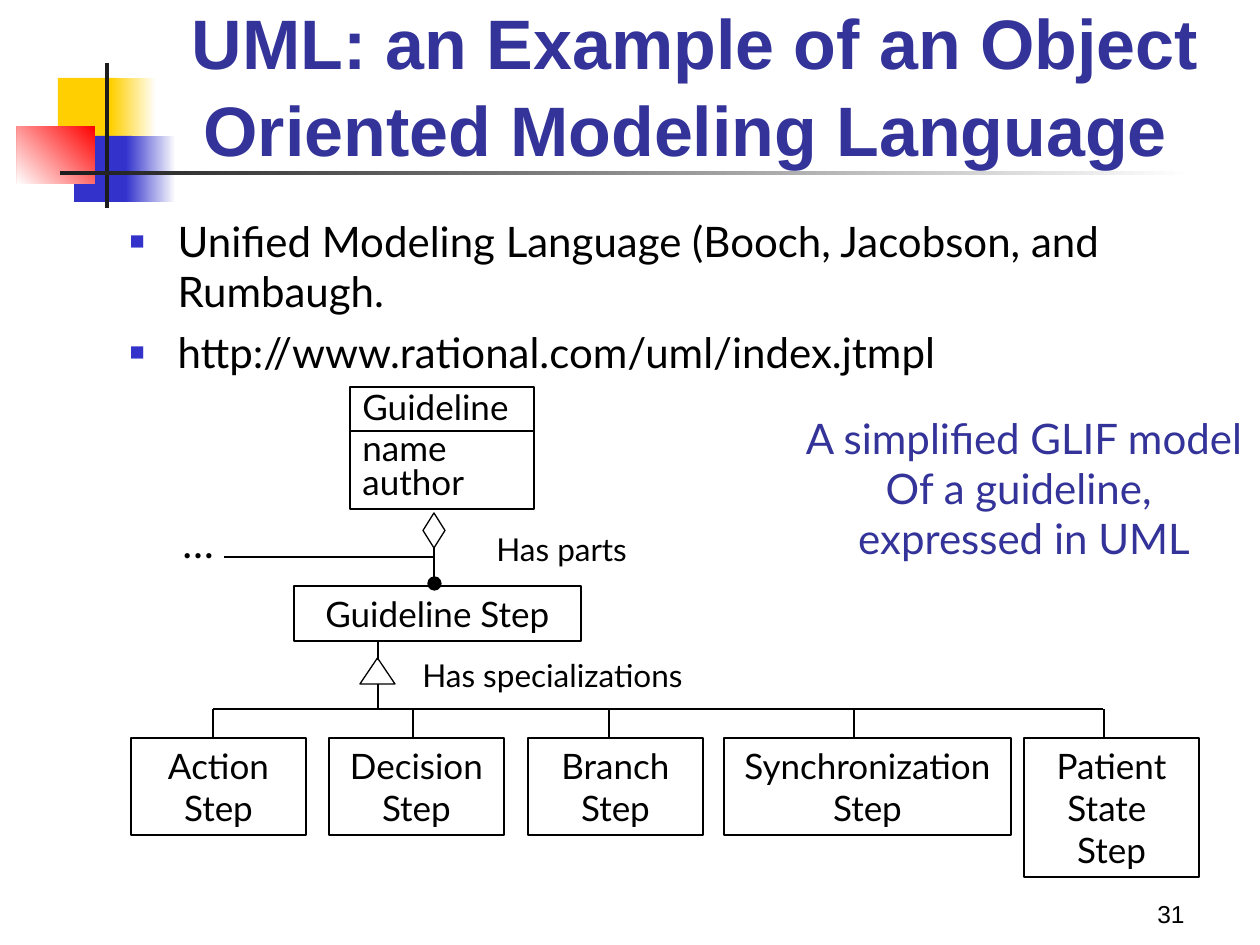
from lxml.etree import SubElement
from pptx import Presentation
from pptx.dml.color import RGBColor
from pptx.enum.shapes import MSO_CONNECTOR, MSO_SHAPE
from pptx.enum.text import MSO_ANCHOR, MSO_AUTO_SIZE, PP_ALIGN
from pptx.oxml.ns import qn
from pptx.util import Emu, Pt

HEX = {"ink": "000000", "navy": "333399", "blue": "3333CC", "gold": "FFCF01",
       "red": "FF0000", "dark": "1C1C1C", "white": "FFFFFF"}
LEFT, MID, RIGHT = PP_ALIGN.LEFT, PP_ALIGN.CENTER, PP_ALIGN.RIGHT


def px(n):
    """Pixels, 126 to the inch, as EMU."""
    return Emu(round(n * 914400 / 126))


def rgb(name):
    return RGBColor.from_string(HEX[name])


def write(para, text, size, color="ink", font="Lato", bold=False):
    """Add text to a paragraph; a newline becomes a line break."""
    for i, part in enumerate(text.split("\n")):
        if i:
            para.add_line_break()
        run = para.add_run()
        run.text = part
        run.font.size, run.font.name, run.font.bold = Pt(size), font, bold
        run.font.color.rgb = rgb(color)


def fill_text(frame, lines, size, align, color="ink", font="Lato"):
    for i, line in enumerate(lines):
        para = frame.add_paragraph() if i else frame.paragraphs[0]
        para.alignment = align
        write(para, line, size, color, font)


def form(slide, kind, x, y, w, h, fill=None, line="ink"):
    shape = slide.shapes.add_shape(kind, px(x), px(y), px(w), px(h))
    shape.shadow.inherit = False
    if fill:
        shape.fill.solid()
        shape.fill.fore_color.rgb = rgb(fill)
    else:
        shape.fill.background()
    if line:
        shape.line.color.rgb = rgb(line)
        shape.line.width = Pt(0.75)
    else:
        shape.line.fill.background()
    return shape


def fade(shape, start, angle=0):
    """Shade a shape from a colour to white."""
    shape.fill.gradient()
    shape.fill.gradient_angle = angle
    for stop, name in zip(shape.fill.gradient_stops, (start, "white")):
        stop.color.rgb = rgb(name)


def rule(slide, x1, y1, x2, y2):
    line = slide.shapes.add_connector(MSO_CONNECTOR.STRAIGHT, px(x1), px(y1), px(x2), px(y2))
    line.line.color.rgb = rgb("ink")
    line.line.width = Pt(0.75)
    SubElement(line.element.spPr, qn("a:effectLst"))


def label(slide, x, y, w, h, lines, size, align=LEFT, color="ink"):
    frame = slide.shapes.add_textbox(px(x), px(y), px(w), px(h)).text_frame
    frame.word_wrap = False
    frame.auto_size = MSO_AUTO_SIZE.SHAPE_TO_FIT_TEXT
    fill_text(frame, lines, size, align, color)


def node(slide, x, y, w, h, lines, align=MID):
    frame = form(slide, MSO_SHAPE.RECTANGLE, x, y, w, h).text_frame
    frame.word_wrap = True
    frame.vertical_anchor = MSO_ANCHOR.TOP
    fill_text(frame, lines, 20, align)
    return frame


def motif(slide, x, y):
    """Coloured squares and the two bars beside the title."""
    parts = [(41, 15, 60, 66, "gold", None), (94, 15, 45, 66, "gold", 0),
             (57, 73, 58, 66, "blue", None), (109, 73, 50, 66, "blue", 0),
             (0, 63, 78, 58, "red", 225), (88, 0, 4, 145, "dark", None),
             (43, 108, 1134, 4, "dark", 0)]
    for dx, dy, w, h, color, angle in parts:
        part = form(slide, MSO_SHAPE.RECTANGLE, x + dx, y + dy, w, h, color, None)
        if angle is not None:
            fade(part, color, angle)


def place(shape, x, y, w, h):
    shape.left, shape.top, shape.width, shape.height = map(px, (x, y, w, h))
    frame = shape.text_frame
    frame.word_wrap = True
    frame.auto_size = MSO_AUTO_SIZE.NONE
    return frame


def head(slide, x, y, w, h, text):
    frame = place(slide.shapes.title, x, y, w, h)
    frame.vertical_anchor = MSO_ANCHOR.BOTTOM
    para = frame.paragraphs[0]
    para.alignment = MID
    para.line_spacing = 1.04
    write(para, text, 40, "navy", "Arial", True)


def bullets(slide, x, y, w, h, items):
    frame = place(slide.placeholders[1], x, y, w, h)
    frame.vertical_anchor = MSO_ANCHOR.TOP
    for i, item in enumerate(items):
        para = frame.add_paragraph() if i else frame.paragraphs[0]
        props = para._p.get_or_add_pPr()
        props.set("marL", str(px(48)))
        props.set("indent", str(-px(48)))
        SubElement(SubElement(props, qn("a:buClr")), qn("a:srgbClr"), val=HEX["blue"])
        SubElement(props, qn("a:buSzPct"), val="60000")
        SubElement(props, qn("a:buFont"), typeface="Arial")
        SubElement(props, qn("a:buChar"), char="■")
        para.space_before = Pt(6 if i else 0)
        write(para, item, 24)


def whole(slide, x, y):
    """The guideline class and its link down to its parts."""
    frame = node(slide, x, y, 184, 122, ["Guideline", "name", "author"], LEFT)
    for i in (0, 2):
        frame.paragraphs[i].line_spacing = 0.8
    rule(slide, x, y + 44, x + 185, y + 44)
    mid = x + 84
    rule(slide, mid, y + 198, mid, y + 126)
    rule(slide, mid, y + 170, x - 126, y + 170)
    form(slide, MSO_SHAPE.FLOWCHART_DECISION, mid - 11, y + 126, 22, 35, "white")
    label(slide, x - 180, y + 123, 58, 63, ["…"], 24)
    label(slide, x + 134, y + 137, 165, 50, ["Has parts"], 18)
    node(slide, x - 56, y + 199, 287, 55, ["Guideline Step"])
    form(slide, MSO_SHAPE.OVAL, mid - 6, y + 190, 13, 13, "ink")


def kinds(slide, x, y):
    """The specialization arrow and the row of step classes."""
    mid, bar = x + 247, y + 67
    rule(slide, mid, y, mid, y + 18)
    form(slide, MSO_SHAPE.ISOSCELES_TRIANGLE, mid - 18, y + 16, 35, 26)
    rule(slide, mid, y + 42, mid, bar)
    label(slide, x + 279, y + 8, 304, 50, ["Has specializations"], 18)
    rule(slide, x + 82, bar, x + 972, bar)
    steps = [("Action Step", 0, 175, 97, 82), ("Decision Step", 198, 175, 97, 282),
             ("Branch Step", 397, 175, 97, 478),
             ("Synchronization Step", 593, 287, 97, 723),
             ("Patient State \nStep", 893, 175, 139, 973)]
    for text, dx, w, h, drop in steps:
        rule(slide, x + drop, bar, x + drop, y + 96)
        node(slide, x + dx, y + 96, w, h, [text])


def number(slide, x, y, w, h, text):
    frame = slide.shapes.add_textbox(px(x), px(y), px(w), px(h)).text_frame
    frame.word_wrap = True
    frame.vertical_anchor = MSO_ANCHOR.BOTTOM
    fill_text(frame, [text], 14, RIGHT, font="Arial")


def main():
    deck = Presentation()
    deck.slide_width, deck.slide_height = px(1260), px(945)
    slide = deck.slides.add_slide(deck.slide_layouts[1])
    motif(slide, 17, 63)
    head(slide, 158, 19, 1074, 158,
         "UML: an Example of an Object Oriented Modeling Language ")
    bullets(slide, 117, 209, 1116, 636,
            ["Unified Modeling Language (Booch, Jacobson, and Rumbaugh.",
             "http://www.rational.com/uml/index.jtmpl"])
    whole(slide, 350, 387)
    kinds(slide, 131, 642)
    label(slide, 779, 406, 490, 164,
          ["A simplified GLIF model", "Of a guideline, ", "expressed in UML"],
          24, MID, "navy")
    number(slide, 935, 872, 262, 63, "31")
    deck.save("out.pptx")


if __name__ == "__main__":
    main()
